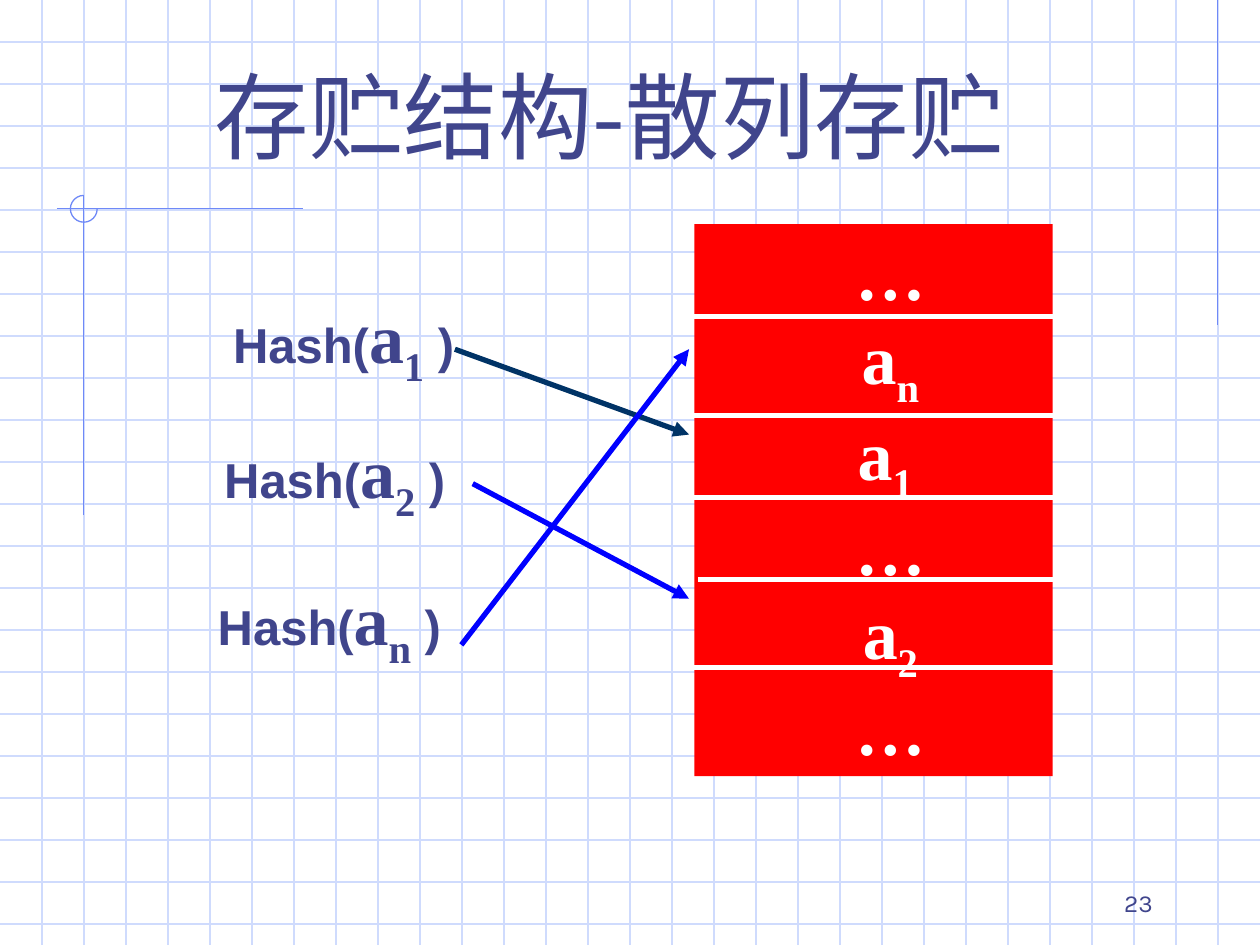
from typing import NamedTuple

import pptx
import pptx.dml.color
import pptx.enum.shapes
import pptx.enum.text
import pptx.oxml.ns
import pptx.util
from lxml import etree
from pptx.util import Cm

ALIGN = pptx.enum.text.PP_ALIGN
ANCHOR = pptx.enum.text.MSO_ANCHOR
SHAPE = pptx.enum.shapes.MSO_SHAPE


class Theme:
    ink, white, red = "40458C", "FFFFFF", "FF0000"
    grid, accent, navy, blue = "CFDBFD", "6F89F7", "003366", "0000FF"
    sans, serif, han, number = "Arial", "Times New Roman", "Noto Sans CJK SC", "Karla"
    title_size, item_size, label_size, number_size = 54, 40, 28, 14
    thin, thick = 0.75, 3


class Box(NamedTuple):
    """A region in centimetres."""
    left: float
    top: float
    width: float
    height: float

    def lengths(self):
        return [Cm(value) for value in self]


def rgb(code):
    return pptx.dml.color.RGBColor.from_string(code)


def add_span(para, text, *, font, size, color=Theme.ink, bold=False, subscript=False):
    span = para.add_run()
    span.text = text
    span.font.name = font
    span.font.size = pptx.util.Pt(size)
    span.font.bold = bold
    span.font.color.rgb = rgb(color)
    properties = span.font._element
    if subscript:
        properties.set("baseline", "-25000")
    if font == Theme.han:
        east_asian = etree.SubElement(properties, pptx.oxml.ns.qn("a:ea"))
        east_asian.set("typeface", font)


def set_frame(frame, *, anchor=ANCHOR.TOP, wrap=True, insets=(0.25, 0.13, 0.25, 0.13)):
    """Set anchor, wrapping and left, top, right, bottom insets."""
    frame.vertical_anchor = anchor
    frame.word_wrap = wrap
    (frame.margin_left, frame.margin_top,
     frame.margin_right, frame.margin_bottom) = [Cm(inset) for inset in insets]
    return frame


def add_line(page, start, end, color, width, arrow=False):
    line = page.shapes.add_connector(
        pptx.enum.shapes.MSO_CONNECTOR.STRAIGHT,
        *[Cm(value) for value in (*start, *end)])
    line.line.color.rgb = rgb(color)
    line.line.width = pptx.util.Pt(width)
    if arrow:
        outline = line.line._get_or_add_ln()
        etree.SubElement(outline, pptx.oxml.ns.qn("a:tailEnd")).set("type", "triangle")
    etree.SubElement(line._element.spPr, pptx.oxml.ns.qn("a:effectLst"))


def add_grid(page, box, columns=30):
    step = box.width / columns
    right, bottom = box.left + box.width, box.top + box.height
    for row in range(1, int(box.height / step) + 1):
        y = box.top + row * step
        add_line(page, (box.left, y), (right, y), Theme.grid, Theme.thin)
    for column in range(1, columns):
        x = box.left + column * step
        add_line(page, (x, box.top), (x, bottom), Theme.grid, Theme.thin)


def add_corner_ornament(page, box):
    """Draw two crossing lines with a three-quarter circle around the crossing."""
    radius = 0.27
    x, y = box.left + 0.54, box.top + radius
    add_line(page, (box.left, y), (box.left + box.width, y), Theme.accent, Theme.thin)
    add_line(page, (x, box.top), (x, box.top + box.height), Theme.accent, Theme.thin)
    circle = Box(x - radius, y - radius, 2 * radius, 2 * radius)
    arc = page.shapes.add_shape(SHAPE.ARC, *circle.lengths())
    # Angles are in 60000ths of a degree, scaled by 100000: 0 to 270 degrees.
    arc.adjustments[0], arc.adjustments[1] = 0, 162
    arc.shadow.inherit = False
    arc.fill.background()
    arc.line.color.rgb = rgb(Theme.accent)
    arc.line.width = pptx.util.Pt(Theme.thin)


def add_line_of_text(page, box, text, *, align, font, size, **frame_format):
    frame = set_frame(page.shapes.add_textbox(*box.lengths()).text_frame,
                      anchor=ANCHOR.BOTTOM, **frame_format)
    para = frame.paragraphs[0]
    para.alignment = align
    add_span(para, text, font=font, size=size)


def add_memory(page, box, cells, dividers):
    """Draw the storage block; each divider is an (x, y) offset in the box."""
    block = page.shapes.add_shape(SHAPE.RECTANGLE, *box.lengths())
    block.shadow.inherit = False
    block.fill.solid()
    block.fill.fore_color.rgb = rgb(Theme.red)
    block.line.fill.background()
    frame = set_frame(block.text_frame, insets=(0.93, 0.13, 0.25, 0.13))
    style = dict(font=Theme.serif, size=Theme.item_size, color=Theme.white, bold=True)
    for index, (name, subscript) in enumerate(cells):
        para = frame.add_paragraph() if index else frame.paragraphs[0]
        para.alignment = ALIGN.CENTER
        add_span(para, name, **style)
        if subscript:
            add_span(para, subscript, subscript=True, **style)
    for x, y in dividers:
        start = box.left + x, box.top + y
        add_line(page, start, (start[0] + box.width + 0.05, start[1]),
                 Theme.white, Theme.thick)


def add_hash_label(page, box, subscript):
    frame = set_frame(page.shapes.add_textbox(*box.lengths()).text_frame,
                      wrap=False, insets=(0.25, 0.13, 0, 0.13))
    para = frame.paragraphs[0]
    para.alignment = ALIGN.LEFT
    call = dict(font=Theme.sans, size=Theme.label_size, bold=True)
    item = dict(font=Theme.serif, size=Theme.item_size, bold=True)
    add_span(para, "Hash(", **call)
    add_span(para, "a", **item)
    add_span(para, subscript, subscript=True, **item)
    add_span(para, " )", **call)


def main():
    deck = pptx.Presentation()
    slide_box = Box(0, 0, 25.4, 19.05)
    deck.slide_width, deck.slide_height = slide_box.lengths()[2:]
    page = deck.slides.add_slide(deck.slide_layouts[6])
    page.background.fill.solid()
    page.background.fill.fore_color.rgb = rgb(Theme.white)

    add_grid(page, slide_box)
    add_line(page, (24.55, 0), (24.55, 6.55), Theme.accent, Theme.thin)
    add_corner_ornament(page, Box(1.15, 3.94, 4.95, 6.45))
    add_line_of_text(page, Box(18.21, 17.35, 5.28, 1.27), "23", align=ALIGN.RIGHT,
                     font=Theme.number, size=Theme.number_size)
    add_line_of_text(page, Box(2.08, 1.55, 20.4, 2.03), "存贮结构-散列存贮",
                     align=ALIGN.CENTER, font=Theme.han, size=Theme.title_size,
                     insets=(0, 0, 0, 0.13))

    cells = [("…", ""), ("a", "n"), ("a", "1 "), ("…", ""), ("a", "2"), ("…", "")]
    dividers = [(0, 1.86), (0, 3.86), (0, 5.51), (0.08, 7.16), (0, 8.94)]
    add_memory(page, Box(14, 4.52, 7.22, 11.13), cells, dividers)

    for left, top, subscript in [(4.45, 5.79, "1"), (4.27, 8.51, "2"), (4.14, 11.48, "n")]:
        add_hash_label(page, Box(left, top, 5, 2.18), subscript)

    cell_edge = 13.89
    for start, target, color in [((9.17, 7.04), 8.76, Theme.navy),
                                 ((9.53, 9.75), 12.07, Theme.blue),
                                 ((9.3, 13), 7.04, Theme.blue)]:
        add_line(page, start, (cell_edge, target), color, Theme.thick, arrow=True)

    deck.save("out.pptx")


if __name__ == "__main__":
    main()
